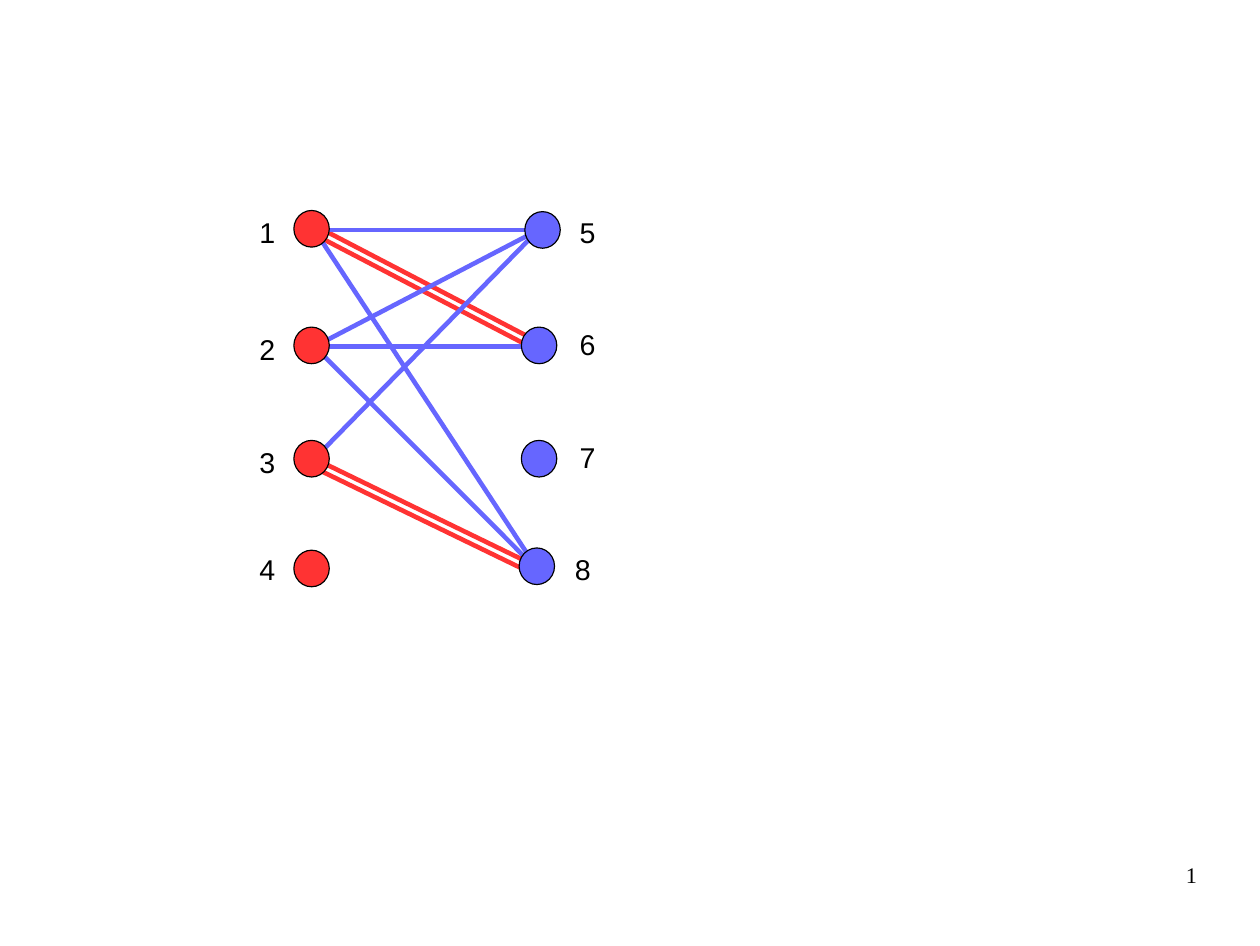
from pptx import Presentation
from pptx.dml.color import RGBColor
from pptx.enum.shapes import MSO_CONNECTOR, MSO_SHAPE
from pptx.enum.text import PP_ALIGN
from pptx.oxml.xmlchemy import OxmlElement
from pptx.util import Inches, Pt

STRAIGHT = MSO_CONNECTOR.STRAIGHT
OVAL = MSO_SHAPE.OVAL
LEFT, RIGHT = PP_ALIGN.LEFT, PP_ALIGN.RIGHT

RED = RGBColor(0xFF, 0x33, 0x33)
BLUE = RGBColor(0x66, 0x66, 0xFF)
BLACK = RGBColor(0, 0, 0)

SLIDE_W, SLIDE_H = 11.02, 8.27
NODE_W, NODE_H = 0.31, 0.32
LABEL_W, LABEL_H = 0.31, 0.38
EDGE_LEFT, EDGE_RIGHT = 0.58, 2.54
PAIR_GAP = 0.08

# number: node left, node top, label left, label top, all within the graph box
NODES = {
    1: (0.40, 0.01, 0, 0),
    2: (0.40, 1.03, 0, 1.02),
    3: (0.40, 2.02, 0, 2.01),
    4: (0.40, 2.98, 0, 2.95),
    5: (2.42, 0.02, 2.80, 0),
    6: (2.39, 1.03, 2.80, 0.98),
    7: (2.39, 2.02, 2.80, 1.97),
    8: (2.37, 2.96, 2.76, 2.95),
}
PORT_Y = {1: 0.18, 2: 1.20, 3: 2.18, 5: 0.18, 6: 1.20, 8: 3.16}
EDGES = [(2, 6), (1, 5), (1, 8), (2, 5), (2, 8), (3, 5)]
MATCHED_Y = [(0.14, 1.16), (2.18, 3.13)]


def add_text(s, x, y, w, h, text, font, size, align=LEFT, inset=(0.1, 0.05)):
    tf = s.shapes.add_textbox(Inches(x), Inches(y), Inches(w), Inches(h)).text_frame
    tf.word_wrap = True
    tf.margin_left = tf.margin_right = Inches(inset[0])
    tf.margin_top = tf.margin_bottom = Inches(inset[1])
    p = tf.paragraphs[0]
    p.text = text
    p.alignment = align
    p.font.name, p.font.size = font, Pt(size)
    p.font.color.rgb = BLACK


def add_edge(s, x, y, y1, y2, color):
    line = s.shapes.add_connector(
        STRAIGHT, Inches(x + EDGE_LEFT), Inches(y + y1),
        Inches(x + EDGE_RIGHT), Inches(y + y2))
    line.line.color.rgb = color
    line.line.width = Pt(2.89)
    line._element.spPr.append(OxmlElement("a:effectLst"))


def add_node(s, x, y, color):
    sp = s.shapes.add_shape(OVAL, Inches(x), Inches(y), Inches(NODE_W), Inches(NODE_H))
    sp.shadow.inherit = False
    sp.fill.solid()
    sp.fill.fore_color.rgb = color
    sp.line.color.rgb = BLACK
    sp.line.width = Pt(0)


def add_graph(s, x, y):
    for y1, y2 in MATCHED_Y:
        for shift in (0, PAIR_GAP):
            add_edge(s, x, y, y1 + shift, y2 + shift, RED)
    for a, b in EDGES:
        add_edge(s, x, y, PORT_Y[a], PORT_Y[b], BLUE)
    for number, (node_x, node_y, label_x, label_y) in NODES.items():
        add_node(s, x + node_x, y + node_y, RED if number <= 4 else BLUE)
        add_text(s, x + label_x, y + label_y, LABEL_W, LABEL_H, str(number), "Arial", 18)


def add_page_number(s, x, y, w, h):
    add_text(s, x, y, w, h, "1", "Times New Roman", 14, RIGHT, (0, 0))


def main():
    prs = Presentation()
    prs.slide_width, prs.slide_height = Inches(SLIDE_W), Inches(SLIDE_H)
    s = prs.slides.add_slide(prs.slide_layouts[6])
    add_graph(s, 2.17, 1.83)
    add_page_number(s, 7.9, 7.53, 2.57, 0.57)
    prs.save("out.pptx")


if __name__ == "__main__":
    main()
